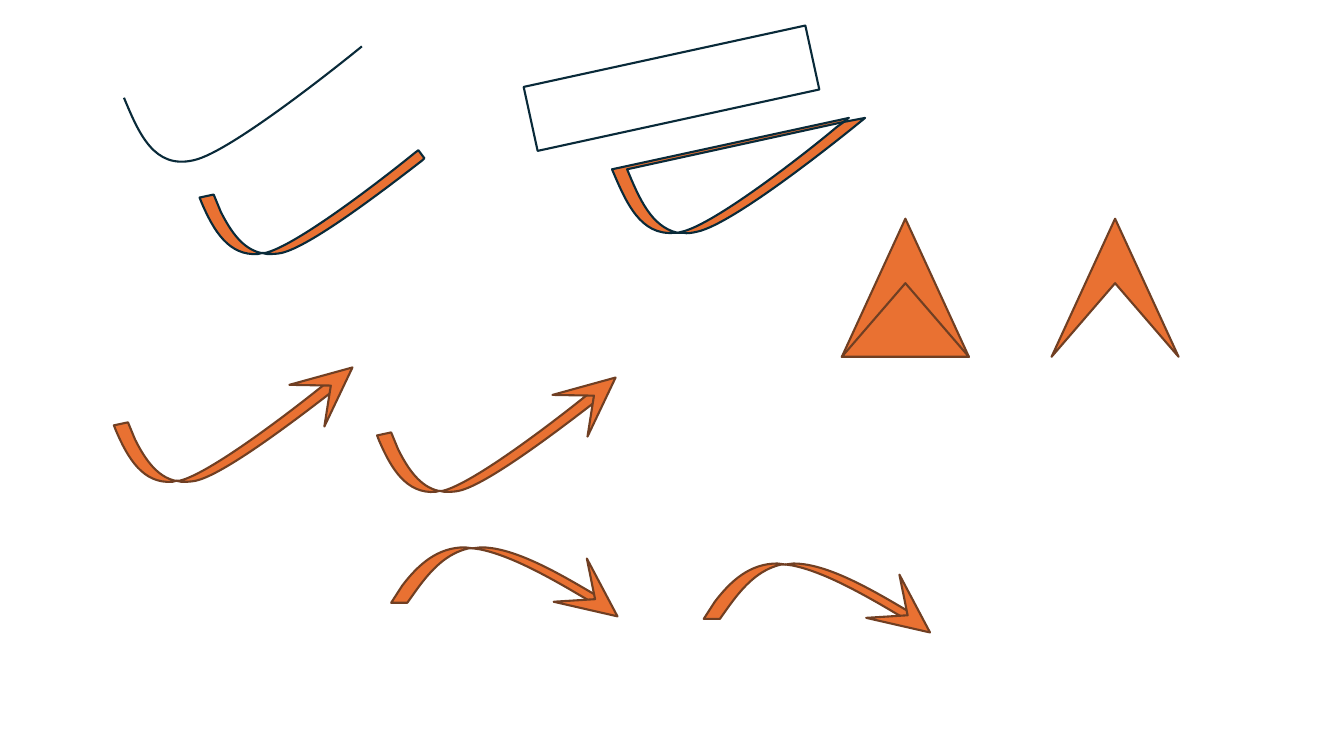
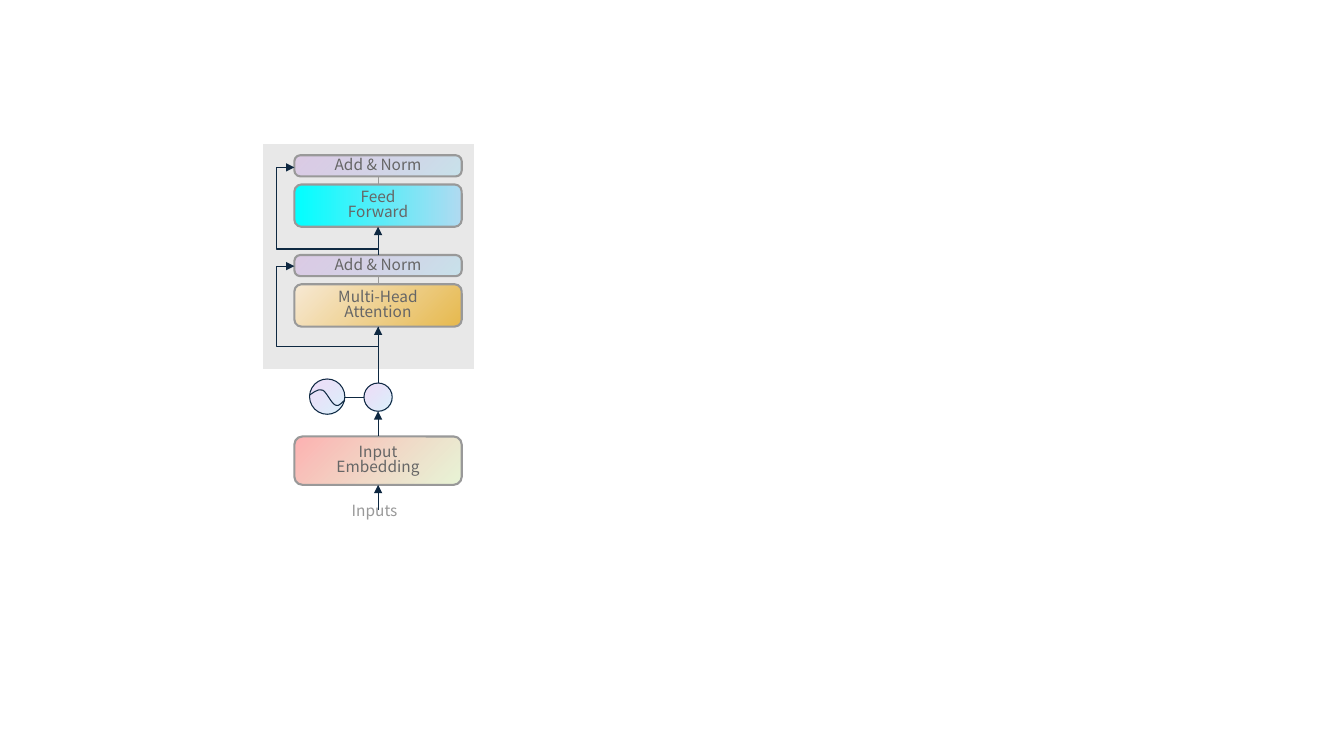
from dataclasses import dataclass

from lxml.etree import Element, SubElement
from pptx import Presentation
from pptx.dml.color import RGBColor
from pptx.enum.shapes import MSO_CONNECTOR, MSO_SHAPE
from pptx.enum.text import MSO_ANCHOR, PP_ALIGN
from pptx.oxml.ns import qn
from pptx.util import Pt

PX = 9144  # EMU per px, 100 px to the inch


@dataclass(frozen=True)
class Theme:
    white: str = "FFFFFF"
    orange: str = "E97132"
    brown: str = "703F23"
    ink: str = "092A39"
    navy: str = "0E2841"
    gray: str = "999999"
    panel: str = "E8E8E8"
    label: str = "666666"
    font: str = "Noto Sans CJK SC"
    size: int = 11
    spacing: float = 0.8
    inset: int = 10
    thin: float = 0.75
    thick: float = 1.5
    # Gradients: angle, then (colour, opacity in percent) for each end
    sand: tuple = (45, ("F7E9D4", 100), ("E6B94E", 100))
    aqua: tuple = (0, ("00FFFF", 100), ("B0DAF1", 100))
    lilac: tuple = (225, ("69D4F4", 26), ("9F39D5", 17))
    blush: tuple = (225, ("D8EDBA", 58), ("FE9696", 74))


THEME = Theme()

# Contours: a start point, then lines (x, y) and curves (two controls, end)
SWOOP = [[(0, 51), (15, 87, 30, 122, 69, 113), (108, 105, 236, 0, 236, 0)]]
WAVE = [[(0, 5), (2, 4, 8, -2, 13, 0), (17, 2, 22, 14, 26, 15),
         (29, 17, 33, 11, 35, 10)]]
LOOP = [
    [(251, 0), (251, 0, 124, 105, 84, 113), (79, 114, 75, 115, 71, 114),
     (65, 114), (69, 113), (101, 106, 191, 36, 223, 9), (230, 4)],
    [(235, 0), (235, 0, 233, 1, 230, 4), (15, 51),
     (27, 80, 39, 108, 65, 114), (62, 114), (28, 117, 14, 84, 0, 51)],
]
HOOK = [
    [(14, 44), (21, 61), (31, 81, 43, 98, 61, 102), (62, 102), (58, 103),
     (29, 105, 14, 80, 2, 52), (0, 47)],
    [(217, 0), (223, 8), (221, 10), (181, 41, 109, 96, 81, 102),
     (76, 103, 72, 103, 67, 103), (62, 102), (65, 102),
     (95, 95, 176, 33, 213, 3)],
]
ARCH = [
    [(89, 0), (117, 0, 153, 18, 192, 41), (216, 55), (200, 55), (176, 41),
     (143, 22, 113, 7, 88, 2), (81, 1)],
    [(73, 0), (81, 1), (77, 1), (55, 6, 40, 22, 26, 41), (16, 55), (0, 55),
     (11, 38), (27, 17, 46, 0, 73, 0)],
]


class Board:
    def __init__(self, theme):
        self.theme = theme
        self.deck = Presentation()
        self.deck.slide_width = 1333 * PX
        self.deck.slide_height = 750 * PX

    def page(self):
        self.shapes = self.deck.slides.add_slide(self.deck.slide_layouts[6]).shapes

    def paint(self, shape, fill, line, width):
        """Fill with a colour, a gradient tuple or nothing, then set the outline."""
        shape.shadow.inherit = False
        if fill is None:
            shape.fill.background()
        elif isinstance(fill, tuple):
            angle, *ends = fill
            shape.fill.gradient()
            shape.fill.gradient_angle = -angle % 360
            for stop, (color, _) in zip(shape.fill.gradient_stops, ends):
                stop.color.rgb = RGBColor.from_string(color)
            tints = shape._element.spPr.iter(qn("a:srgbClr"))
            for tint, (_, alpha) in zip(list(tints), ends):
                if alpha < 100:
                    SubElement(tint, qn("a:alpha"), val=str(alpha * 1000))
        else:
            shape.fill.solid()
            shape.fill.fore_color.rgb = RGBColor.from_string(fill)
        if line:
            self.stroke(shape, line, width)
        else:
            shape.line.fill.background()

    def stroke(self, shape, color, width):
        shape.line.color.rgb = RGBColor.from_string(color)
        shape.line.width = Pt(width)

    def form(self, kind, box, fill, line=None, width=THEME.thick, turn=0):
        shape = self.shapes.add_shape(kind, *(n * PX for n in box))
        self.paint(shape, fill, line, width)
        shape.rotation = turn
        return shape

    def free(self, x, y, contours, fill=None, line=THEME.brown,
             width=THEME.thick, turn=0):
        """Draw contours from (x, y); they close when there is a fill."""
        closed = fill is not None
        pen = None
        for start, *steps in contours:
            if pen:
                pen.move_to(*start)
            else:
                pen = self.shapes.build_freeform(*start, scale=PX)
            points = [s[i:i + 2] for s in steps for i in range(0, len(s), 2)]
            pen.add_line_segments(points, close=closed)
        shape = pen.convert_to_shape(x * PX, y * PX)
        self.bend(shape, contours, closed)
        self.paint(shape, fill, line, width)
        shape.rotation = turn
        return shape

    def bend(self, shape, contours, closed):
        """Merge each three lines that stand for a curve into one Bezier."""
        track = next(shape._element.iter(qn("a:path")))
        nodes = iter(list(track))
        for _, *steps in contours:
            next(nodes)
            for step in steps:
                parts = [next(nodes) for _ in range(len(step) // 2)]
                if len(parts) == 3:
                    curve = Element(qn("a:cubicBezTo"))
                    parts[0].addprevious(curve)
                    for part in parts:
                        curve.append(part[0])
                        track.remove(part)
            if closed:
                next(nodes)

    def dart(self, x, y, w, h, turn=0):
        mid = w // 2
        outline = [(mid, 0), (w, h), (mid, round(h * 0.467)), (0, h)]
        return self.free(x, y, [outline], self.theme.orange, turn=turn)

    def arrow(self, x, y, body, tip, turn):
        """Pair a curved body with a dart whose box starts at tip."""
        shaft = self.free(x, y, body, self.theme.orange)
        return shaft, self.dart(x + tip[0], y + tip[1], 54, 59, turn)

    def letter(self, shape, text, color, align):
        frame = shape.text_frame
        frame.word_wrap = True
        frame.margin_left = frame.margin_right = self.theme.inset * PX
        frame.margin_top = frame.margin_bottom = self.theme.inset * PX
        frame.text = text
        for para in frame.paragraphs:
            para.alignment = align
            para.line_spacing = self.theme.spacing
            para.font.name = self.theme.font
            para.font.size = Pt(self.theme.size)
            para.font.color.rgb = RGBColor.from_string(color)

    def block(self, text, y, h, fill, bend=0.167):
        shape = self.form(MSO_SHAPE.ROUNDED_RECTANGLE, (292, y, 166, h), fill,
                          self.theme.gray)
        shape.adjustments[0] = bend
        self.letter(shape, text, self.theme.label, PP_ALIGN.CENTER)
        shape.text_frame.vertical_anchor = MSO_ANCHOR.MIDDLE
        return shape

    def norm(self, y):
        return self.block("Add & Norm", y, 21, self.theme.lilac, 0.285)

    def note(self, text, box):
        shape = self.shapes.add_textbox(*(n * PX for n in box))
        self.letter(shape, text, self.theme.gray, PP_ALIGN.LEFT)

    def disc(self, x, y, size):
        self.form(MSO_SHAPE.OVAL, (x, y, size, size), self.theme.lilac,
                  self.theme.navy, self.theme.thin)

    def link(self, start, end, color=THEME.navy, head=True,
             kind=MSO_CONNECTOR.STRAIGHT):
        """Join two ends, each a point or a (shape, side) pair."""
        glued = [not isinstance(spot[0], (int, float)) for spot in (start, end)]
        ends = [(0, 0) if g else spot for g, spot in zip(glued, (start, end))]
        line = self.shapes.add_connector(
            kind, *(round(n * PX) for spot in ends for n in spot))
        if glued[0]:
            line.begin_connect(*start)
        if glued[1]:
            line.end_connect(*end)
        self.stroke(line, color, self.theme.thin)
        if head:
            SubElement(line.get_or_add_ln(), qn("a:tailEnd"), type="triangle")
        SubElement(line._element.spPr, qn("a:effectLst"))
        return line

    def skip(self, start, end, drop=20, out=18):
        """Run a bent arrow down from start, round the left and into end."""
        (x1, y1), (x2, y2) = start, end
        dx, dy = x1 - x2, y1 - y2
        cx, cy = (x1 + x2) / 2, (y1 + y2) / 2
        line = self.link((cx + dy / 2, cy - dx / 2), (cx - dy / 2, cy + dx / 2),
                         kind=MSO_CONNECTOR.ELBOW)
        props = line._element.spPr
        props.find(qn("a:xfrm")).set("rot", "5400000")
        preset = props.find(qn("a:prstGeom"))
        preset.set("prst", "bentConnector4")
        guides = preset.find(qn("a:avLst"))
        if guides is None:
            guides = SubElement(preset, qn("a:avLst"))
        for name, part in (("adj1", -drop / dy), ("adj2", 1 + out / dx)):
            SubElement(guides, qn("a:gd"), name=name,
                       fmla=f"val {round(part * 100000)}")

    def group(self, items):
        self.shapes.add_group_shape(list(items))


def draw_arrows(board):
    look = board.theme
    board.page()
    board.form(MSO_SHAPE.RECTANGLE, (523, 55, 286, 65), look.white, look.ink,
               turn=347.7)
    board.free(607, 117, LOOP, look.orange, look.ink)
    board.free(198, 149, HOOK, look.orange, look.ink)
    for top, height in ((217, 137), (281, 73)):
        board.form(MSO_SHAPE.ISOSCELES_TRIANGLE, (835, top, 126, height),
                   look.orange, look.brown)
    board.dart(1043, 217, 126, 137)
    board.free(123, 46, SWOOP, line=look.ink)
    hook, arch = (HOOK, (187, -21), 50), (ARCH, (174, 21), 127.5)
    board.arrow(113, 375, *hook)
    board.arrow(388, 543, *arch)
    board.group(board.arrow(698, 559, *arch))
    board.group(board.arrow(374, 385, *hook))


def draw_encoder(board):
    look = board.theme
    mid = 375
    board.page()
    board.form(MSO_SHAPE.RECTANGLE, (261, 143, 209, 223), look.panel)
    heads = board.block("Multi-Head\nAttention", 282, 42, look.sand)
    lower = board.norm(253)
    embed = board.block("Input\nEmbedding", 433, 48, look.blush)
    feed = board.block("Feed\nForward", 183, 42, look.aqua)
    upper = board.norm(154)
    board.note("Inputs", (339, 493, 73, 41))
    board.disc(361, 380, 28)
    board.disc(307, 376, 35)
    board.free(307, 387, WAVE, line=look.navy, width=look.thin)
    board.link((361, 394), (342, 394), head=False)
    for block, norm in ((heads, lower), (feed, upper)):
        board.link((block, 0), (norm, 2), look.gray, head=False)
    board.link((mid, 506), (embed, 2))
    board.link((embed, 0), (mid, 408))
    board.link((mid, 380), (heads, 2))
    board.link((lower, 0), (feed, 2))
    board.skip((mid, 324), (292, 264))
    board.skip((mid, 227), (292, 166))
    board.group(board.shapes)


def main():
    board = Board(THEME)
    draw_arrows(board)
    draw_encoder(board)
    board.deck.save("out.pptx")


if __name__ == "__main__":
    main()
